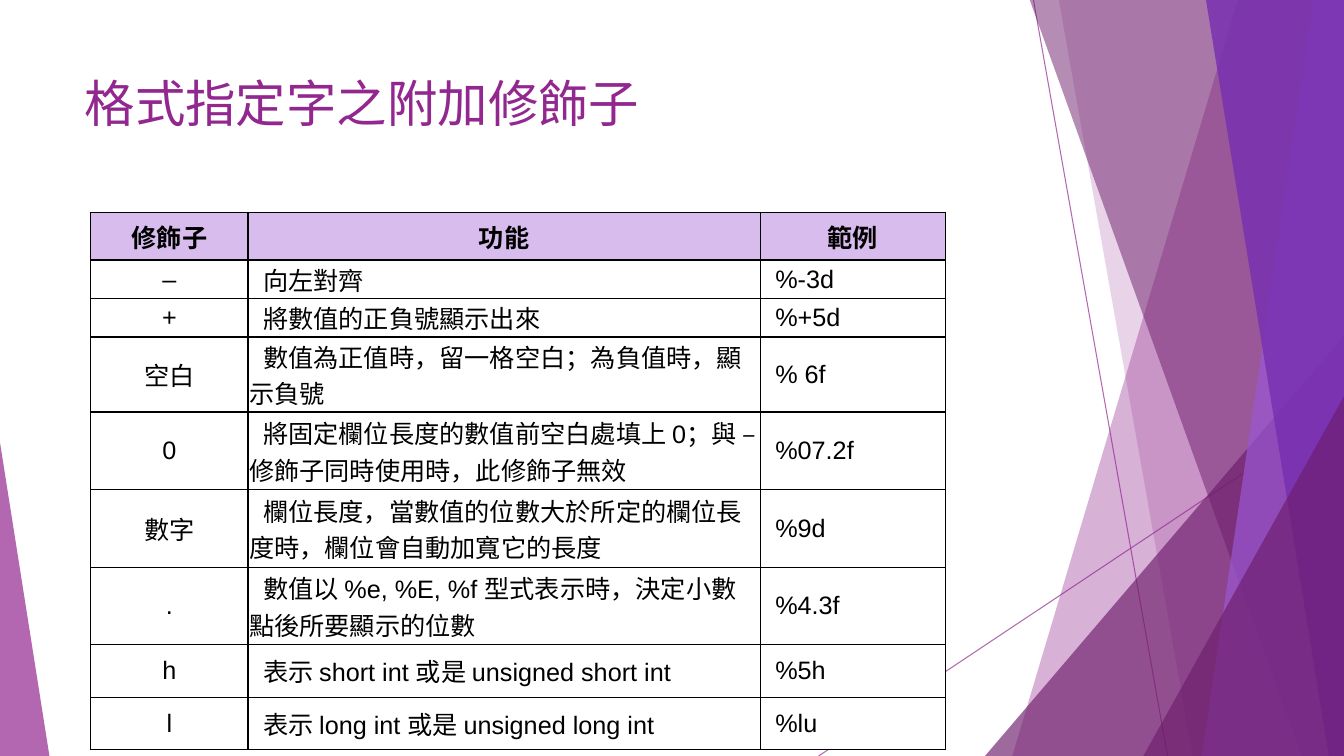
from dataclasses import dataclass

from lxml import etree
from pptx import Presentation
from pptx import util as u
from pptx.dml.color import RGBColor
from pptx.enum import shapes, text
from pptx.oxml import ns


@dataclass(frozen=True)
class Theme:
    plum: str = "92278F"
    dark_plum: str = "6D1D6B"
    lilac: str = "9B57D3"
    violet: str = "762EB1"
    header: str = "D7BCED"
    white: str = "FFFFFF"
    black: str = "000000"
    title_font: str = "Lato"
    table_font: str = "Arial"
    title_size: int = 36
    table_size: int = 18


@dataclass(frozen=True)
class Ray:
    start: tuple[float, float]
    end: tuple[float, float]


@dataclass(frozen=True)
class Shard:
    """Reaches from a slanted left edge to the right side of the page."""
    top_x: float
    bottom_x: float
    color: str
    opacity: int


@dataclass(frozen=True)
class Wedge:
    """Triangle standing on the bottom of the page."""
    left: float
    top: float
    width: float
    apex: float
    color: str
    opacity: int


@dataclass(frozen=True)
class Modifier:
    symbol: str
    purpose: str
    example: str
    height: float


THEME = Theme()
WIDTH, HEIGHT, SHARD_TOP = 13.33, 7.5, -0.01
COLUMNS = (1.56, 5.08, 1.84)
CELL_INSET = u.Inches(0.01)
FIRST_LINE_INDENT = u.Inches(0.14)

RAYS = [Ray((10.25, 0), (11.58, HEIGHT)), Ray((WIDTH, 4.03), (8.12, HEIGHT))]
FACETS = [
    Shard(12.28, 10.04, THEME.plum, 36),
    Shard(10.5, 11.83, THEME.plum, 20),
    Wedge(9.77, 3.33, 3.56, 1, THEME.dark_plum, 66),
    Shard(10.21, 12.91, THEME.dark_plum, 50),
    Shard(13.03, 11.92, THEME.lilac, 70),
    Shard(11.96, 13.18, THEME.violet, 80),
    Wedge(11.34, 3.93, 1.99, 1, THEME.dark_plum, 66),
    Wedge(0, 4.39, 0.49, 0, THEME.plum, 70),
]
MODIFIERS = [
    Modifier("修飾子", "功能", "範例", 0.47),
    Modifier("–", "向左對齊", "%-3d", 0.28),
    Modifier("+", "將數值的正負號顯示出來", "%+5d", 0.28),
    Modifier("空白", "數值為正值時，留一格空白；為負值時，顯示負號", "% 6f", 0.52),
    Modifier("0", "將固定欄位長度的數值前空白處填上 0；與 – 修飾子同時使用時，此修飾子無效",
             "%07.2f", 0.77),
    Modifier("數字", "欄位長度，當數值的位數大於所定的欄位長度時，欄位會自動加寬它的長度",
             "%9d", 0.77),
    Modifier(".", "數值以 %e, %E, %f 型式表示時，決定小數點後所要顯示的位數", "%4.3f", 0.77),
    Modifier("h", "表示 short int 或是 unsigned short int", "%5h", 0.52),
    Modifier("l", "表示 long int 或是 unsigned long int", "%lu", 0.52),
]


def set_opacity(shape, percent: int) -> None:
    color = next(shape._element.spPr.iter(ns.qn("a:srgbClr")))
    etree.SubElement(color, ns.qn("a:alpha"), val=str(percent * 1000))


def draw_ray(page, ray: Ray) -> None:
    ends = [u.Inches(value) for value in ray.start + ray.end]
    line = page.shapes.add_connector(shapes.MSO_CONNECTOR.STRAIGHT, *ends)
    line.line.color.rgb = RGBColor.from_string(THEME.plum)
    line.line.width = u.Pt(0.75)
    set_opacity(line, 70)
    etree.SubElement(line._element.spPr, ns.qn("a:effectLst"))


def draw_facet(page, facet: Shard | Wedge) -> None:
    if isinstance(facet, Shard):
        corners = [(WIDTH, SHARD_TOP), (WIDTH, HEIGHT), (facet.bottom_x, HEIGHT)]
        builder = page.shapes.build_freeform(u.Inches(facet.top_x), u.Inches(SHARD_TOP))
        builder.add_line_segments([(u.Inches(x), u.Inches(y)) for x, y in corners])
        shape = builder.convert_to_shape()
    else:
        shape = page.shapes.add_shape(
            shapes.MSO_SHAPE.ISOSCELES_TRIANGLE, u.Inches(facet.left), u.Inches(facet.top),
            u.Inches(facet.width), u.Inches(HEIGHT - facet.top))
        shape.adjustments[0] = facet.apex
    shape.shadow.inherit = False
    shape.fill.solid()
    shape.fill.fore_color.rgb = RGBColor.from_string(facet.color)
    shape.line.fill.background()
    set_opacity(shape, facet.opacity)


def format_font(font, name: str, size: int, color: str, bold: bool = False) -> None:
    font.name, font.size, font.bold = name, u.Pt(size), bold
    font.color.rgb = RGBColor.from_string(color)


def write_title(page, words: str) -> None:
    title = page.shapes.title
    title.left, title.top = u.Inches(0.74), u.Inches(0.67)
    title.width, title.height = u.Inches(9.4), u.Inches(1.44)
    title.text_frame.text = words
    title.text_frame.vertical_anchor = text.MSO_ANCHOR.TOP
    para = title.text_frame.paragraphs[0]
    para.alignment = text.PP_ALIGN.LEFT
    format_font(para.runs[0].font, THEME.title_font, THEME.title_size, THEME.plum)


def add_borders(cell) -> None:
    properties = cell._tc.get_or_add_tcPr()
    for position, side in enumerate(("a:lnL", "a:lnR", "a:lnT", "a:lnB")):
        border = etree.Element(ns.qn(side), w=str(u.Pt(1)))
        fill = etree.SubElement(border, ns.qn("a:solidFill"))
        etree.SubElement(fill, ns.qn("a:srgbClr"), val=THEME.black)
        properties.insert(position, border)


def write_cell(cell, words: str, is_header: bool, centered: bool) -> None:
    cell.fill.solid()
    cell.fill.fore_color.rgb = RGBColor.from_string(THEME.header if is_header else THEME.white)
    cell.margin_left = cell.margin_right = CELL_INSET
    cell.margin_top = cell.margin_bottom = CELL_INSET
    cell.vertical_anchor = text.MSO_ANCHOR.MIDDLE
    add_borders(cell)
    cell.text_frame.text = words
    para = cell.text_frame.paragraphs[0]
    if centered:
        para.alignment = text.PP_ALIGN.CENTER
    else:
        para._p.get_or_add_pPr().set("indent", str(FIRST_LINE_INDENT))
    format_font(para.runs[0].font, THEME.table_font, THEME.table_size, THEME.black, is_header)


def draw_table(page) -> None:
    table = page.shapes.add_table(
        len(MODIFIERS), len(COLUMNS), u.Inches(0.9), u.Inches(2.11), u.Inches(sum(COLUMNS)),
        u.Inches(sum(modifier.height for modifier in MODIFIERS))).table
    table.horz_banding = False
    for column, width in zip(table.columns, COLUMNS):
        column.width = u.Inches(width)
    for row_index, modifier in enumerate(MODIFIERS):
        table.rows[row_index].height = u.Inches(modifier.height)
        is_header = row_index == 0
        entries = (modifier.symbol, modifier.purpose, modifier.example)
        for column_index, words in enumerate(entries):
            write_cell(table.cell(row_index, column_index), words, is_header,
                       is_header or column_index == 0)


def main() -> None:
    deck = Presentation()
    deck.slide_width, deck.slide_height = u.Inches(WIDTH), u.Inches(HEIGHT)
    page = deck.slides.add_slide(deck.slide_layouts.get_by_name("Title Only"))

    # Decorative background
    for ray in RAYS:
        draw_ray(page, ray)
    for facet in FACETS:
        draw_facet(page, facet)

    # Title and table
    write_title(page, "格式指定字之附加修飾子")
    draw_table(page)
    deck.save("out.pptx")


if __name__ == "__main__":
    main()
